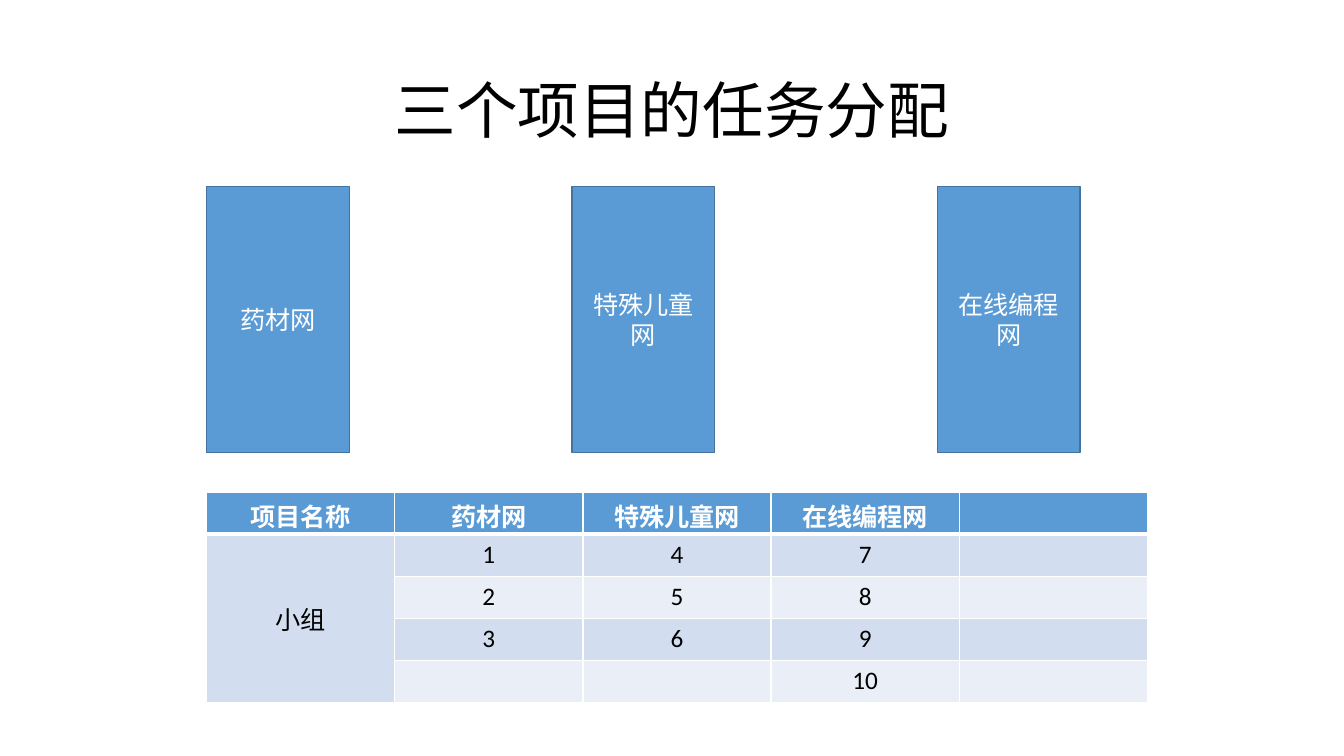
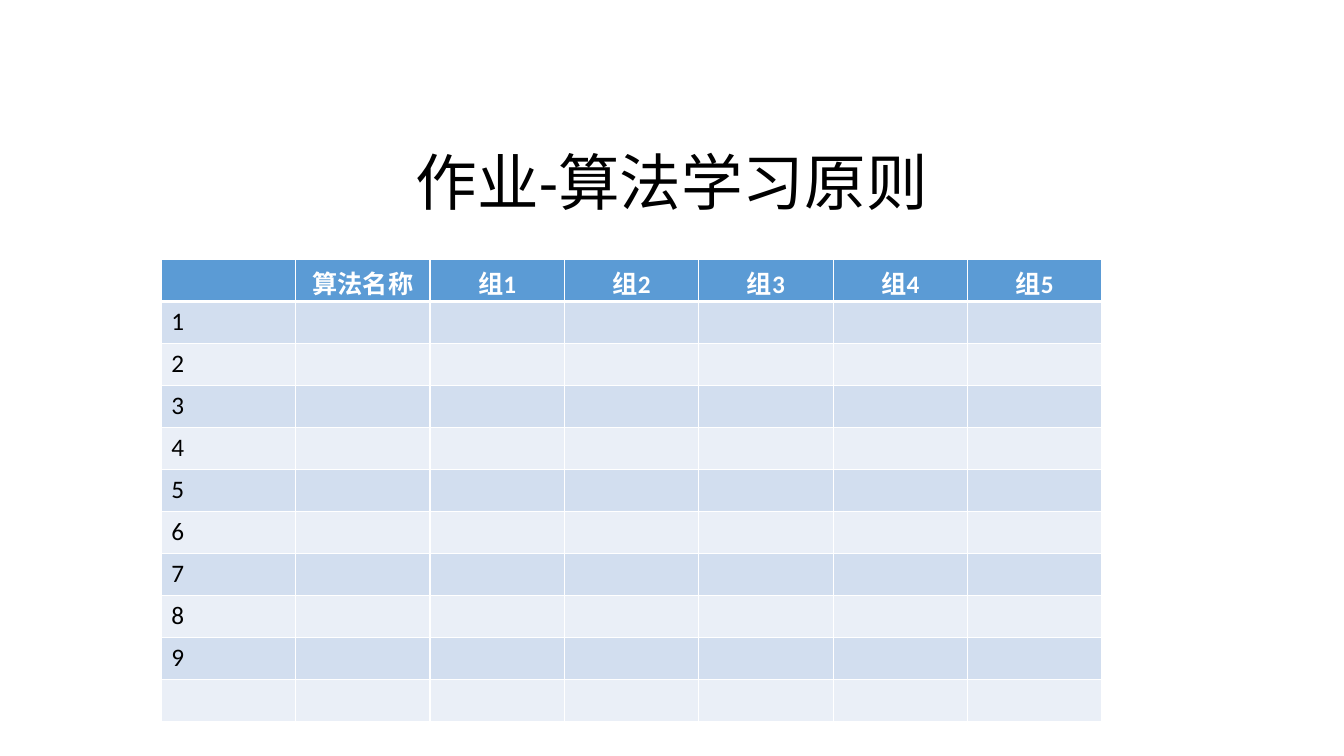
from dataclasses import dataclass

from lxml import etree
from pptx import Presentation
from pptx import util as u
from pptx.dml.color import RGBColor
from pptx.enum import shapes, text
from pptx.oxml.ns import qn

GRID_COLUMNS, GRID_ROWS = 160, 90
UNIT = u.Inches(1) / 12  # one grid column or row


@dataclass(frozen=True)
class Theme:
    font: str = "Calibri"
    ink: str = "000000"
    paper: str = "FFFFFF"
    accent: str = "5B9BD5"
    accent_edge: str = "43739E"
    bands: tuple = ("D2DEEF", "EAEFF7")
    title_size: int = 44
    body_size: int = 18
    thin: int = 1
    thick: int = 3


def grid(*lengths):
    """Turn grid columns or rows into slide units."""
    return [round(length * UNIT) for length in lengths]


def write(frame, content, *, font, size, color, bold=False,
          align=text.PP_ALIGN.CENTER, line_spacing=None):
    paragraph = frame.paragraphs[0]
    paragraph.alignment = align
    paragraph.line_spacing = line_spacing
    run = paragraph.add_run()
    run.text = content
    run.font.name = font
    run.font.size = u.Pt(size)
    run.font.bold = bold
    run.font.color.rgb = RGBColor.from_string(color)


def add_border(cell, side, color, width):
    """Draw one side (L, R, T or B) of a cell; call before filling the cell."""
    properties = cell._tc.get_or_add_tcPr()
    line = etree.SubElement(properties, qn(f"a:ln{side}"), w=str(u.Pt(width)))
    fill = etree.SubElement(line, qn("a:solidFill"))
    etree.SubElement(fill, qn("a:srgbClr"), val=color)


class Deck:
    def __init__(self, theme):
        self.theme = theme
        self.presentation = Presentation()
        size = grid(GRID_COLUMNS, GRID_ROWS)
        self.presentation.slide_width, self.presentation.slide_height = size
        self.slide = None

    def new_slide(self):
        blank = self.presentation.slide_layouts[6]
        self.slide = self.presentation.slides.add_slide(blank)

    def title(self, content, top):
        box = self.slide.shapes.add_textbox(*grid(11, top, 138, 17.4))
        frame = box.text_frame
        frame.word_wrap = True
        frame.vertical_anchor = text.MSO_ANCHOR.MIDDLE
        write(frame, content, font=self.theme.font, size=self.theme.title_size,
              color=self.theme.ink, line_spacing=0.9)

    def block(self, content, left, top, width, height):
        shape = self.slide.shapes.add_shape(
            shapes.MSO_SHAPE.RECTANGLE, *grid(left, top, width, height))
        shape.shadow.inherit = False
        shape.fill.solid()
        shape.fill.fore_color.rgb = RGBColor.from_string(self.theme.accent)
        shape.line.color.rgb = RGBColor.from_string(self.theme.accent_edge)
        shape.line.width = u.Pt(self.theme.thin)
        shape.text_frame.vertical_anchor = text.MSO_ANCHOR.MIDDLE
        write(shape.text_frame, content, font=self.theme.font,
              size=self.theme.body_size, color=self.theme.paper)

    def table(self, rows, left, top, width=112, row_height=5,
              body_align=text.PP_ALIGN.CENTER):
        """Add a banded table with equal columns; return it."""
        place = grid(left, top, width, row_height * len(rows))
        table = self.slide.shapes.add_table(
            len(rows), len(rows[0]), *place).table
        for row_index, row in enumerate(rows):
            for column_index, content in enumerate(row):
                cell = table.cell(row_index, column_index)
                self.style_cell(cell, row_index)
                if content:
                    header = row_index == 0
                    write(cell.text_frame, content, font=self.theme.font,
                          size=self.theme.body_size, bold=header,
                          color=self.theme.paper if header else self.theme.ink,
                          align=text.PP_ALIGN.CENTER if header else body_align)
        return table

    def style_cell(self, cell, row_index):
        theme = self.theme
        thick_side = {0: "B", 1: "T"}.get(row_index)
        for side in "LRTB":
            width = theme.thick if side == thick_side else theme.thin
            add_border(cell, side, theme.paper, width)
        color = theme.bands[(row_index - 1) % 2] if row_index else theme.accent
        cell.fill.solid()
        cell.fill.fore_color.rgb = RGBColor.from_string(color)


def add_task_slide(deck):
    projects = ["药材网", "特殊儿童网", "在线编程网"]
    left, pitch = 24.6, 43.5
    deck.new_slide()
    deck.title("三个项目的任务分配", top=4.8)
    for index, project in enumerate(projects):
        deck.block(project, left + index * pitch, 22.2, 17, 31.7)
    table = deck.table([
        ["项目名称", *projects, ""],
        ["小组", "1", "4", "7", ""],
        ["", "2", "5", "8", ""],
        ["", "3", "6", "9", ""],
        ["", "", "", "10", ""],
    ], left, top=58.6)
    group = table.cell(1, 0)
    group.merge(table.cell(4, 0))
    group.vertical_anchor = text.MSO_ANCHOR.MIDDLE


def add_homework_slide(deck):
    groups = [f"组{number}" for number in range(1, 6)]
    header = ["", "算法名称", *groups]
    labels = [str(number) for number in range(1, 10)] + [""]
    body = [[label] + [""] * (len(header) - 1) for label in labels]
    deck.new_slide()
    deck.title("作业-算法学习原则", top=13.4)
    deck.table([header, *body], left=19.2, top=30.9,
               body_align=text.PP_ALIGN.LEFT)


def main():
    deck = Deck(Theme())
    add_task_slide(deck)
    add_homework_slide(deck)
    deck.presentation.save("out.pptx")


if __name__ == "__main__":
    main()
